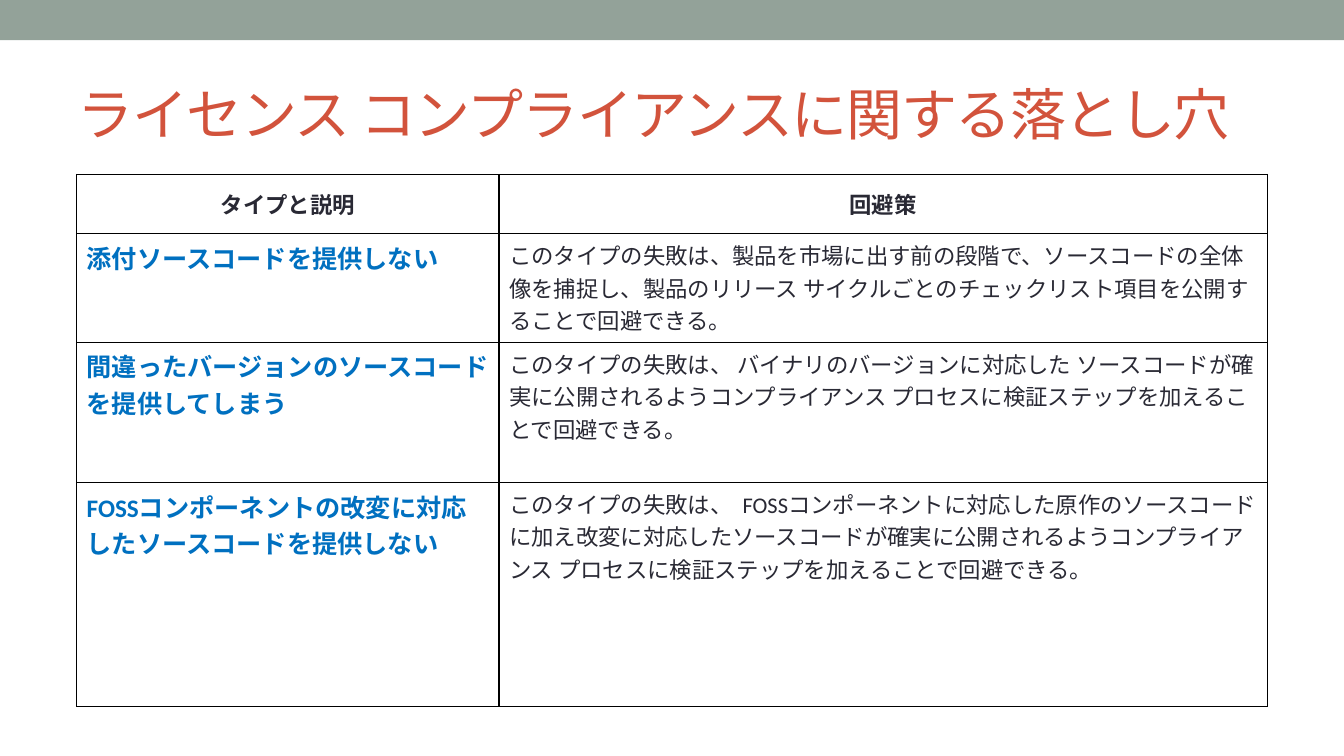
import pptx
import pptx.util
import pptx.dml.color
import pptx.enum.lang
import pptx.enum.shapes
import pptx.enum.text
import pptx.oxml
import pptx.oxml.ns

Inches = pptx.util.Inches
Pt = pptx.util.Pt
Anchor = pptx.enum.text.MSO_ANCHOR
Align = pptx.enum.text.PP_ALIGN

COLORS = {"band": "93A299", "title": "D2533C", "text": "292934",
          "pitfall": "0070C0", "border": "000000"}

HEADINGS = ("タイプと説明", "回避策")
PITFALLS = [
    ("添付ソースコードを提供しない",
     "このタイプの失敗は、製品を市場に出す前の段階で、ソースコードの全体像を捕捉し、"
     "製品のリリース サイクルごとのチェックリスト項目を公開することで回避できる。"),
    ("間違ったバージョンのソースコードを提供してしまう",
     "このタイプの失敗は、 バイナリのバージョンに対応した ソースコードが確実に公開されるよう"
     "コンプライアンス プロセスに検証ステップを加えることで回避できる。"),
    ("FOSSコンポーネントの改変に対応したソースコードを提供しない",
     "このタイプの失敗は、  FOSSコンポーネントに対応した原作のソースコードに加え"
     "改変に対応したソースコードが確実に公開されるよう"
     "コンプライアンス プロセスに検証ステップを加えることで回避できる。"),
]
COLUMN_WIDTHS = (4.19, 7.62)
ROW_HEIGHTS = (0.59, 1.08, 1.39, 2.22)


class SlideBuilder:
    """Holds the text style and the current slide."""

    font_name = "Calibri"

    def __init__(self, deck):
        self.slide = deck.slides.add_slide(deck.slide_layouts[5])

    def color(self, name):
        return pptx.dml.color.RGBColor.from_string(COLORS[name])

    def set_text(self, frame, text, size, color, bold=False, align=Align.LEFT):
        frame.text = text
        para = frame.paragraphs[0]
        para.alignment = align
        span = para.runs[0]
        span.font.name = self.font_name
        span.font.size = Pt(size)
        span.font.bold = bold
        span.font.color.rgb = self.color(color)
        span.font.language_id = pptx.enum.lang.MSO_LANGUAGE_ID.JAPANESE
        return span

    def band(self, left, top, width, height):
        box = self.slide.shapes.add_shape(
            pptx.enum.shapes.MSO_SHAPE.RECTANGLE,
            Inches(left), Inches(top), Inches(width), Inches(height))
        box.shadow.inherit = False
        box.fill.solid()
        box.fill.fore_color.rgb = self.color("band")
        box.line.fill.background()

    def title(self, text, left, top, width, height):
        box = self.slide.shapes.title
        box.left, box.top = Inches(left), Inches(top)
        box.width, box.height = Inches(width), Inches(height)
        frame = box.text_frame
        frame.word_wrap = True
        frame.auto_size = pptx.enum.text.MSO_AUTO_SIZE.NONE
        frame.vertical_anchor = Anchor.MIDDLE
        span = self.set_text(frame, text, 40, "title")
        span._r.get_or_add_rPr().set("spc", "-100")

    def border(self, cell):
        properties = cell._tc.get_or_add_tcPr()
        for index, side in enumerate(("lnL", "lnR", "lnT", "lnB")):
            line = pptx.oxml.parse_xml(
                f'<a:{side} {pptx.oxml.ns.nsdecls("a")} w="{Pt(1)}"><a:solidFill>'
                f'<a:srgbClr val="{COLORS["border"]}"/></a:solidFill></a:{side}>')
            properties.insert(index, line)

    def table(self, left, top, widths, heights, headings, rows):
        table = self.slide.shapes.add_table(
            len(heights), len(widths), Inches(left), Inches(top),
            Inches(sum(widths)), Inches(sum(heights))).table
        table.first_row = table.horz_banding = False
        for column, width in zip(table.columns, widths):
            column.width = Inches(width)
        for row, height in zip(table.rows, heights):
            row.height = Inches(height)

        # Heading row
        for cell, text in zip(table.rows[0].cells, headings):
            cell.vertical_anchor = Anchor.MIDDLE
            self.set_text(cell.text_frame, text, 16, "text", True, Align.CENTER)

        # Pitfall and how to avoid it
        for number, (pitfall, remedy) in enumerate(rows, 1):
            self.set_text(table.cell(number, 0).text_frame, pitfall, 18, "pitfall", True)
            self.set_text(table.cell(number, 1).text_frame, remedy, 16, "text")

        for cell in table.iter_cells():
            cell.fill.background()
            self.border(cell)


def main():
    deck = pptx.Presentation()
    deck.slide_width, deck.slide_height = Inches(13.33), Inches(7.5)
    page = SlideBuilder(deck)
    page.band(0, 0, 13.33, 0.4)
    page.title("ライセンス コンプライアンスに関する落とし穴", 0.67, 0.58, 12, 1.08)
    page.table(0.76, 1.73, COLUMN_WIDTHS, ROW_HEIGHTS, HEADINGS, PITFALLS)
    deck.save("out.pptx")


if __name__ == "__main__":
    main()
